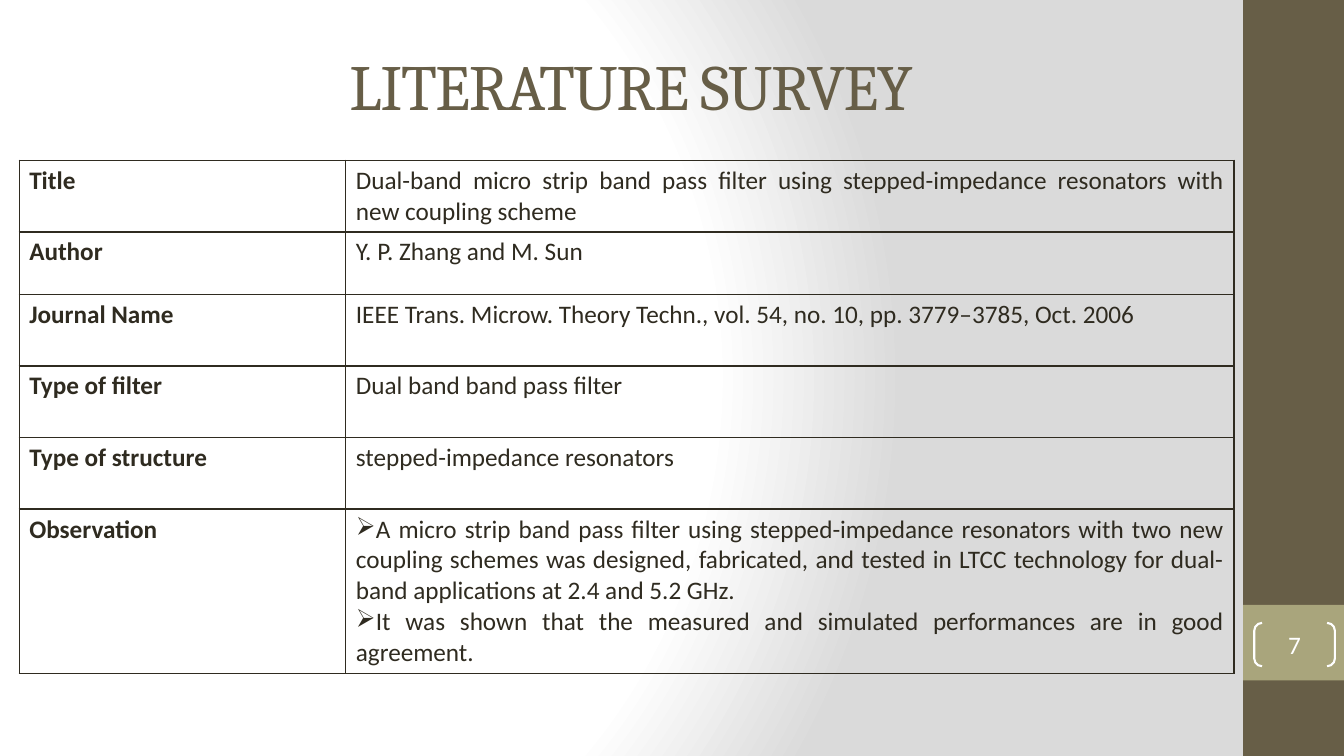
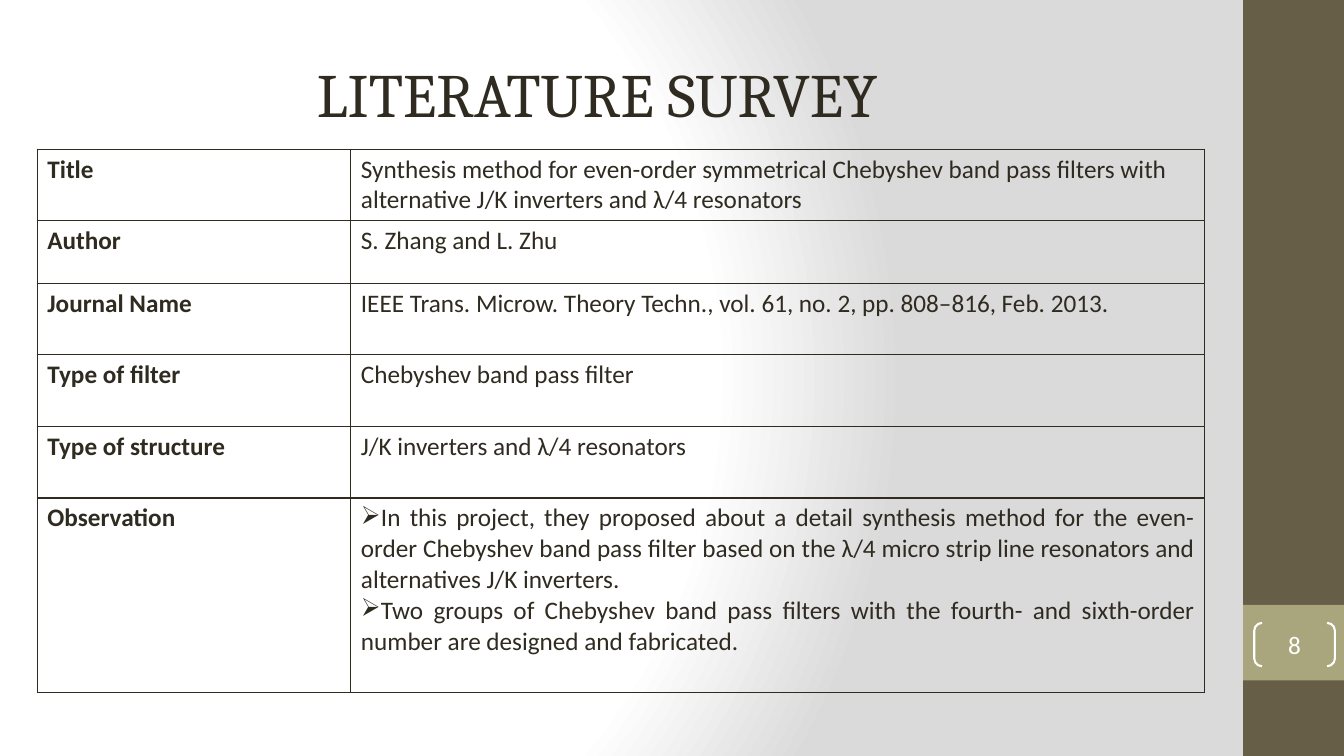
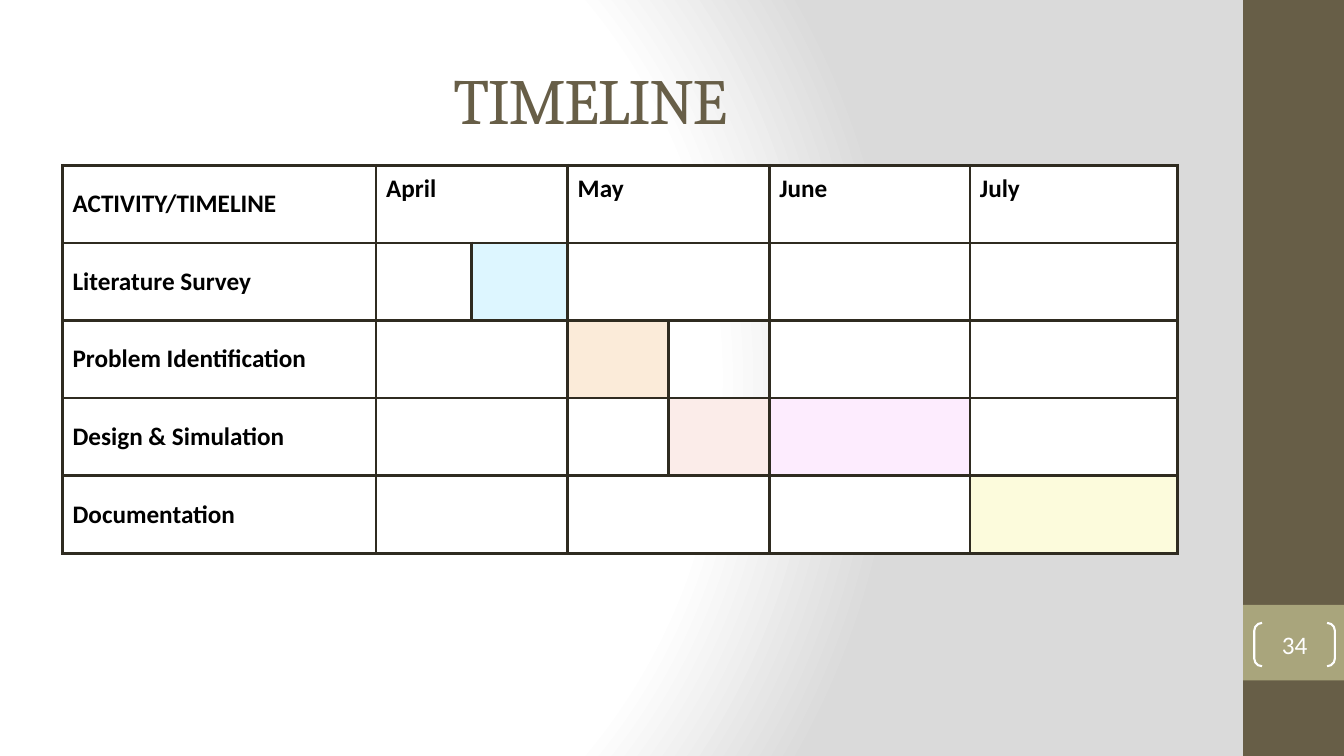
"""Build two literature survey slides and a project timeline."""
from lxml import etree
from pptx import Presentation
from pptx.dml.color import RGBColor
from pptx.enum import shapes, text
from pptx.oxml import ns, parse_xml
from pptx.util import Inches, Pt

THEME = {
    "brown": "675E47", "olive": "A9A57C", "ink": "2F2B20", "black": "000000",
    "white": "FFFFFF", "grey": "DADADA", "blue": "DDF6FF", "peach": "FBEBD9",
    "pink": "FBECE9", "lilac": "FDECFE", "yellow": "FCFBDC",
    "head": "Cambria", "body": "Calibri", "size": 18,
}
LEFT, MID, JUST = text.PP_ALIGN.LEFT, text.PP_ALIGN.CENTER, text.PP_ALIGN.JUSTIFY


def write(para, words, color, align=LEFT, bold=False, name=THEME["body"], size=THEME["size"]):
    run = para.add_run()
    run.text = words
    para.alignment = align
    run.font.color.rgb = RGBColor.from_string(THEME[color])
    for key, value in {"name": name, "size": Pt(size), "bold": bold}.items():
        setattr(run.font, key, value)
    return run


def grid(slide, left, top, cols, rows, width):
    frame = slide.shapes.add_table(len(rows), len(cols), Inches(left), Inches(top),
                                   Inches(sum(cols)), Inches(sum(rows)))
    table = frame.table
    table.first_row = table.horz_banding = False
    for col, size in zip(table.columns, cols):
        col.width = Inches(size)
    for row, size in zip(table.rows, rows):
        row.height = Inches(size)
    for cell in table.iter_cells():
        props = cell._tc.get_or_add_tcPr()
        for side in ("lnL", "lnR", "lnT", "lnB"):
            line = etree.SubElement(props, ns.qn("a:" + side), w=str(Pt(width)))
            fill = etree.SubElement(line, ns.qn("a:solidFill"))
            etree.SubElement(fill, ns.qn("a:srgbClr"), val=THEME["ink"])
        cell.fill.background()
    return table


prs = Presentation()
prs.slide_width, prs.slide_height = Inches(13.33), Inches(7.5)
master, layout = prs.slide_master, prs.slide_layouts[5]

master.background.fill.gradient()
old = master.element.find(".//" + ns.qn("a:gradFill"))
stops = "".join(f'<a:gs pos="{pos}000"><a:srgbClr val="{THEME[tint]}"/></a:gs>'
                for pos, tint in ((0, "white"), (75, "white"), (100, "grey")))
old.getparent().replace(old, parse_xml(
    f'<a:gradFill {ns.nsdecls("a")} rotWithShape="1"><a:gsLst>{stops}</a:gsLst>'
    '<a:path path="circle"><a:fillToRect l="20000" t="50000" r="100000" b="50000"/>'
    '</a:path></a:gradFill>'))

heads = [
    ("LITERATURE SURVEY", "7", (1.91, 0.41, 8.7, 0.86), "brown", 46, -100),
    ("LITERATURE SURVEY", "8", (1.72, 0.5, 8.41, 0.84), "ink", 44, 0),
    ("TIMELINE", "34", (0.71, 0.5, 10.29, 0.95), "brown", 46, -100),
]
slides = []
for words, page, box, color, size, gap in heads:
    slide = prs.slides.add_slide(layout)
    slides.append(slide)
    title = slide.shapes.title
    for key, value in zip(("left", "top", "width", "height"), box):
        setattr(title, key, Inches(value))
    frame = title.text_frame
    frame.auto_size = text.MSO_AUTO_SIZE.NONE
    frame.vertical_anchor = text.MSO_ANCHOR.MIDDLE
    run = write(frame.paragraphs[0], words, color, MID, name=THEME["head"], size=size)
    run.font._element.set("spc", str(gap))

    mark = slide.shapes.add_shape(shapes.MSO_SHAPE.DOUBLE_BRACKET, Inches(12.44),
                                  Inches(6.18), Inches(0.8), Inches(0.43))
    mark.adjustments[0] = 0.18
    mark.shadow.inherit = False
    mark.fill.background()
    mark.line.color.rgb = RGBColor.from_string(THEME["white"])
    mark.line.width = Pt(1.5)
    frame = mark.text_frame
    for side in ("left", "top", "right", "bottom"):
        setattr(frame, "margin_" + side, 0)
    frame.vertical_anchor = text.MSO_ANCHOR.MIDDLE
    write(frame.paragraphs[0], page, "white", MID)

bands = [(0, 7.5, "brown"), (6, 0.75, "olive")]
for index, (top, height, color) in enumerate(bands):
    band = slides[0].shapes.add_shape(shapes.MSO_SHAPE.RECTANGLE, Inches(12.33),
                                      Inches(top), Inches(1), Inches(height))
    band.shadow.inherit = False
    band.fill.solid()
    band.fill.fore_color.rgb = RGBColor.from_string(THEME[color])
    band.line.fill.background()
    band.element.nvSpPr.cNvPr.set("id", str(20 + index))
    master.shapes.element.append(band.element)

labels = ["Title", "Author", "Journal Name", "Type of filter", "Type of structure", "Observation"]
surveys = [
    (0.19, 1.59, (3.24, 8.81), 1.63, JUST, [
        ["Dual-band micro strip band pass filter using stepped-impedance resonators "
         "with new coupling scheme"],
        ["Y. P. Zhang and M. Sun"],
        ["IEEE Trans. Microw. Theory Techn., vol. 54, no. 10, pp. 3779–3785, Oct. 2006"],
        ["Dual band band pass filter"],
        ["stepped-impedance resonators"],
        ["A micro strip band pass filter using stepped-impedance resonators with two new "
         "coupling schemes was designed, fabricated, and tested in LTCC technology for "
         "dual-band applications at 2.4 and 5.2 GHz.",
         "It was shown that the measured and simulated performances are in good agreement."],
    ]),
    (0.37, 1.48, (3.11, 8.47), 1.93, LEFT, [
        ["Synthesis method for even-order symmetrical Chebyshev band pass filters with "
         "alternative J/K inverters and λ/4 resonators"],
        ["S. Zhang and L. Zhu"],
        ["IEEE Trans. Microw. Theory Techn., vol. 61, no. 2, pp. 808–816, Feb. 2013."],
        ["Chebyshev band pass filter"],
        ["J/K inverters and λ/4 resonators"],
        ["In this project, they proposed about a detail synthesis method for the even-order "
         "Chebyshev band pass filter based on the λ/4 micro strip line resonators and "
         "alternatives J/K inverters.",
         "Two groups of Chebyshev band pass filters with the fourth- and sixth-order number "
         "are designed and fabricated."],
    ]),
]
for slide, (left, top, cols, last, align, facts) in zip(slides, surveys):
    table = grid(slide, left, top, cols, (0.71, 0.62, 0.71, 0.71, 0.71, last), 1)
    for row, (label, items) in enumerate(zip(labels, facts)):
        write(table.cell(row, 0).text_frame.paragraphs[0], label, "ink", bold=True)
        frame = table.cell(row, 1).text_frame
        listed = len(items) > 1
        for index, words in enumerate(items):
            para = frame.add_paragraph() if index else frame.paragraphs[0]
            write(para, words, "ink", JUST if listed else align)
            if listed:
                props = para._p.get_or_add_pPr()
                props.set("marL", "0")
                props.set("indent", "0")
                etree.SubElement(props, ns.qn("a:buChar"), char="➢")

months = {1: "April", 3: "May", 5: "June", 6: "July"}
tasks = [
    ("ACTIVITY/TIMELINE", {}),
    ("Literature Survey", {1: None, 2: "blue"}),
    ("Problem Identification", {3: "peach", 4: None}),
    ("Design & Simulation", {3: "white", 4: "pink", 5: "lilac"}),
    ("Documentation", {6: "yellow"}),
]
table = grid(slides[2], 0.62, 1.64, (3.11, 0.95, 0.95, 1, 1, 1.99, 2.06), [0.77] * len(tasks), 2.25)
for row, (task, bars) in enumerate(tasks):
    for col in (1, 3):
        if col not in bars:
            table.cell(row, col).merge(table.cell(row, col + 1))
    for col in range(len(table.columns)):
        cell, tint = table.cell(row, col), bars.get(col, "white")
        cell.vertical_anchor = text.MSO_ANCHOR.MIDDLE
        if tint:
            cell.fill.solid()
            cell.fill.fore_color.rgb = RGBColor.from_string(THEME[tint])
    write(table.cell(row, 0).text_frame.paragraphs[0], task, "black", bold=True)
for col, month in months.items():
    cell = table.cell(0, col)
    cell.vertical_anchor = text.MSO_ANCHOR.TOP
    cell.margin_top = Inches(0.08)
    write(cell.text_frame.paragraphs[0], month, "black", bold=True)

prs.save("out.pptx")
